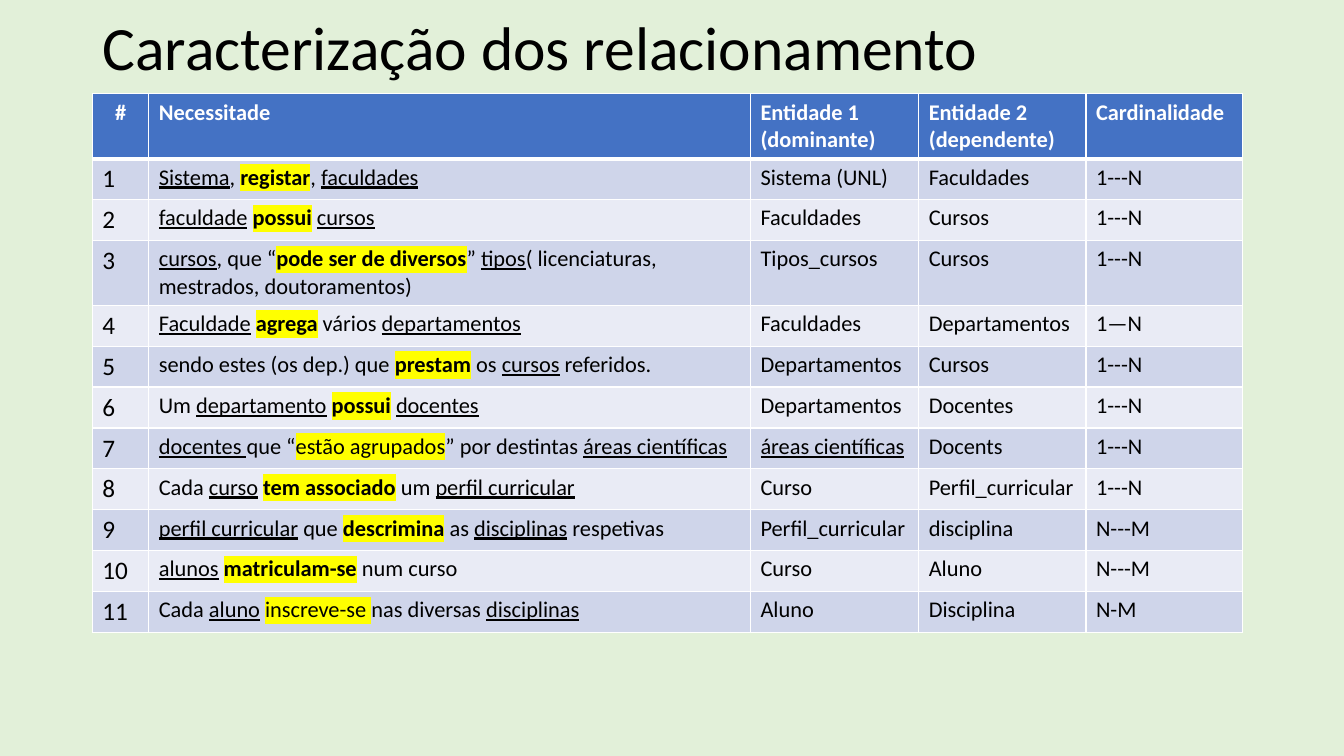
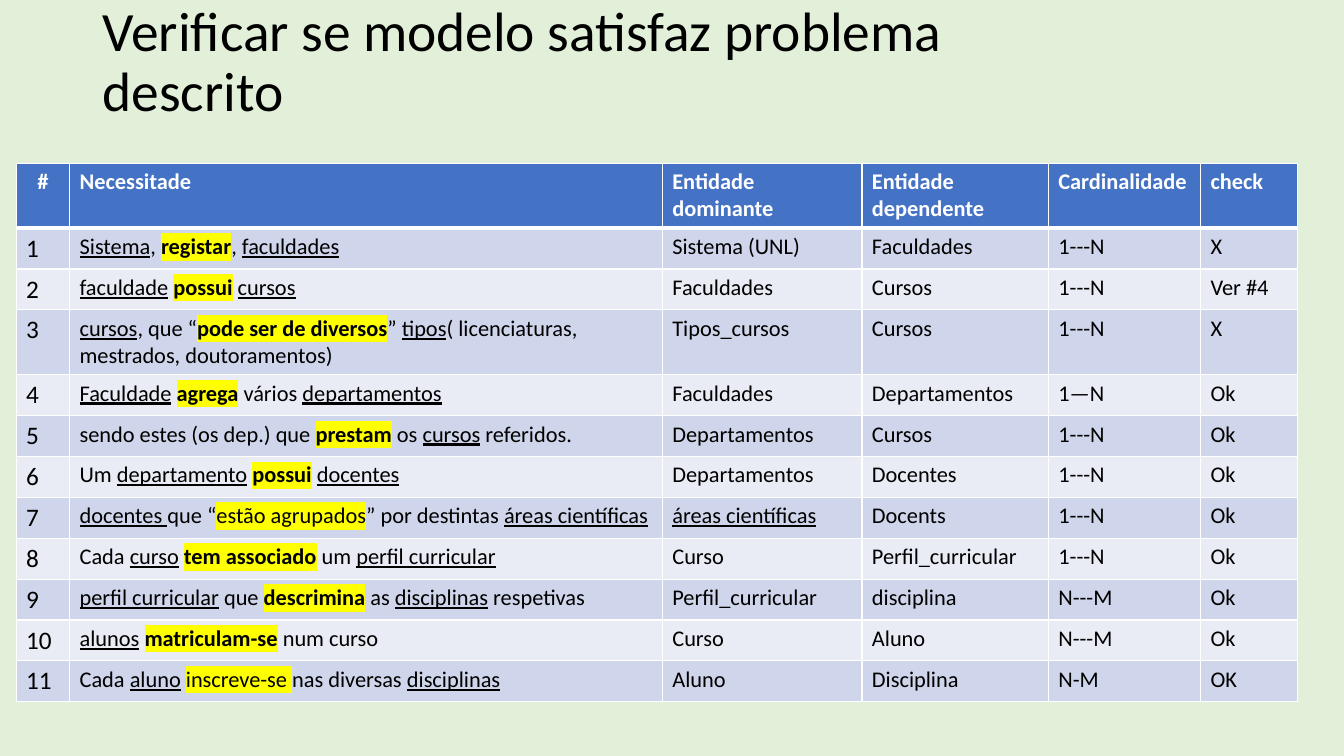
import dataclasses

import lxml.etree
import pptx
import pptx.dml.color
import pptx.enum.text
import pptx.oxml.ns
import pptx.util

Pt = pptx.util.Pt
ALIGN = pptx.enum.text.PP_ALIGN
qn = pptx.oxml.ns.qn


# Theme: colours, font and type sizes
@dataclasses.dataclass(frozen=True)
class Theme:
    background: str = "E2F0D9"
    header: str = "4472C4"
    bands: tuple = ("CFD5EA", "E9EBF5")
    white: str = "FFFFFF"
    text: str = "000000"
    mark: str = "FFFF00"
    font: str = "Calibri"
    number_size: float = 18
    cell_size: float = 16
    line: float = 1
    header_line: float = 3
    row_height: float = 29.2


THEME = Theme()

# Table content; run styles: u underlined, b bold, h highlighted
AREAS = ("áreas científicas", "u")
NEEDS = [
    ([("Sistema", "u"), ", ", ("registar", "bh"), ", ", ("faculdades", "u")],
     "Sistema (UNL)", "Faculdades", "1---N"),
    ([("faculdade", "u"), " ", ("possui", "bh"), " ", ("cursos", "u")],
     "Faculdades", "Cursos", "1---N"),
    ([("cursos", "u"), ", que “", ("pode ser de diversos", "bh"), "” ",
      ("tipos", "u"), "( licenciaturas, mestrados, doutoramentos)"],
     "Tipos_cursos", "Cursos", "1---N"),
    ([("Faculdade", "u"), " ", ("agrega", "bh"), " vários ", ("departamentos", "u")],
     "Faculdades", "Departamentos", "1—N"),
    (["sendo estes (os dep.) que ", ("prestam", "bh"), " os ", ("cursos", "u"),
      " referidos."],
     "Departamentos", "Cursos", "1---N"),
    (["Um ", ("departamento", "u"), " ", ("possui", "bh"), " ", ("docentes", "u")],
     "Departamentos", "Docentes", "1---N"),
    ([("docentes ", "u"), "que “", ("estão agrupados", "h"), "” por destintas ", AREAS],
     [AREAS], "Docents", "1---N"),
    (["Cada ", ("curso", "u"), " ", ("tem associado", "bh"), " um ",
      ("perfil curricular", "u")],
     "Curso", "Perfil_curricular", "1---N"),
    ([("perfil curricular", "u"), " que ", ("descrimina", "bh"), " as ",
      ("disciplinas", "u"), " respetivas"],
     "Perfil_curricular", "disciplina", "N---M"),
    ([("alunos", "u"), " ", ("matriculam-se", "bh"), " num curso"],
     "Curso", "Aluno", "N---M"),
    (["Cada ", ("aluno", "u"), " ", ("inscreve-se ", "h"), "nas diversas ",
      ("disciplinas", "u")],
     "Aluno", "Disciplina", "N-M"),
]
CHECKS = ["X", "Ver #4", "X"] + ["Ok"] * 7 + ["OK"]


def rgb(value):
    return pptx.dml.color.RGBColor.from_string(value)


def add_run(p, text, size, color, style=""):
    r = p.add_run()
    r.text = text
    r.font.size = Pt(size)
    r.font.bold = "b" in style
    r.font.underline = "u" in style
    r.font.color.rgb = rgb(color)
    if "h" in style:
        rpr = r.font.color.rgb is not None and r._r.get_or_add_rPr()
        mark = lxml.etree.SubElement(rpr, qn("a:highlight"))
        lxml.etree.SubElement(mark, qn("a:srgbClr"), val=THEME.mark)
    r.font.name = THEME.font


def set_borders(cell, top, bottom):
    tcpr = cell._tc.get_or_add_tcPr()
    widths = {"lnL": THEME.line, "lnR": THEME.line, "lnT": top, "lnB": bottom}
    for side, width in widths.items():
        ln = lxml.etree.SubElement(tcpr, qn("a:" + side), w=str(Pt(width)))
        fill = lxml.etree.SubElement(ln, qn("a:solidFill"))
        lxml.etree.SubElement(fill, qn("a:srgbClr"), val=THEME.white)


def add_title(s, box, text, size):
    sp = s.shapes.title
    sp.left, sp.top, sp.width, sp.height = (Pt(v) for v in box)
    tf = sp.text_frame
    tf.word_wrap = True
    tf.auto_size = pptx.enum.text.MSO_AUTO_SIZE.NONE
    tf.vertical_anchor = pptx.enum.text.MSO_ANCHOR.MIDDLE
    p = tf.paragraphs[0]
    p.alignment = ALIGN.LEFT
    p.line_spacing = 0.9
    add_run(p, text, size, THEME.text)


def fill_cell(cell, content, row, col):
    is_header = row == 0
    set_borders(cell, THEME.header_line if row == 1 else THEME.line,
                THEME.header_line if is_header else THEME.line)
    cell.fill.solid()
    cell.fill.fore_color.rgb = rgb(THEME.header if is_header else THEME.bands[(row - 1) % 2])
    p = cell.text_frame.paragraphs[0]
    p.alignment = ALIGN.CENTER if is_header and col == 0 else ALIGN.LEFT
    size = THEME.number_size if col == 0 and not is_header else THEME.cell_size
    color = THEME.white if is_header else THEME.text
    for part in [content] if isinstance(content, str) else content:
        text, style = (part, "b" if is_header else "") if isinstance(part, str) else part
        add_run(p, text, size, color, style)


def add_needs_table(s, left, top, widths, rows):
    frame = s.shapes.add_table(len(rows), len(widths), Pt(left), Pt(top),
                               Pt(sum(widths)), Pt(THEME.row_height * len(rows)))
    table = frame.table
    for column, width in zip(table.columns, widths):
        column.width = Pt(width)
    for i, row in enumerate(rows):
        table.rows[i].height = Pt(THEME.row_height)
        for j, content in enumerate(row):
            fill_cell(table.cell(i, j), content, i, j)


def add_needs_slide(prs, title, title_box, title_size, origin, widths, header, extra):
    s = prs.slides.add_slide(prs.slide_layouts[5])
    add_title(s, title_box, title, title_size)
    rows = [("#", "Necessitade", *header)]
    for number, (need, more) in enumerate(zip(NEEDS, extra), 1):
        rows.append((str(number), *need, *more))
    add_needs_table(s, *origin, widths, rows)


def main():
    prs = pptx.Presentation()
    prs.slide_width, prs.slide_height = Pt(960), Pt(540)
    fill = prs.slide_master.background.fill
    fill.solid()
    fill.fore_color.rgb = rgb(THEME.background)

    # Relationships between entities
    add_needs_slide(
        prs, "Caracterização dos relacionamento", (66, 0, 828, 72.7), 44,
        (66, 67), (40.3, 429.8, 120.2, 119.5, 111.6),
        ("Entidade 1 (dominante)", "Entidade 2 (dependente)", "Cardinalidade"),
        [()] * len(NEEDS))

    # Check of the model against the needs
    add_needs_slide(
        prs, "Verificar se modelo satisfaz problema descrito", (66, 0, 693.4, 90.7), 39.6,
        (11.5, 116.6), (38.2, 423.4, 142.6, 133.2, 108.7, 69.1),
        ("Entidade dominante", "Entidade dependente", "Cardinalidade", "check"),
        [(check,) for check in CHECKS])

    prs.save("out.pptx")


if __name__ == "__main__":
    main()
